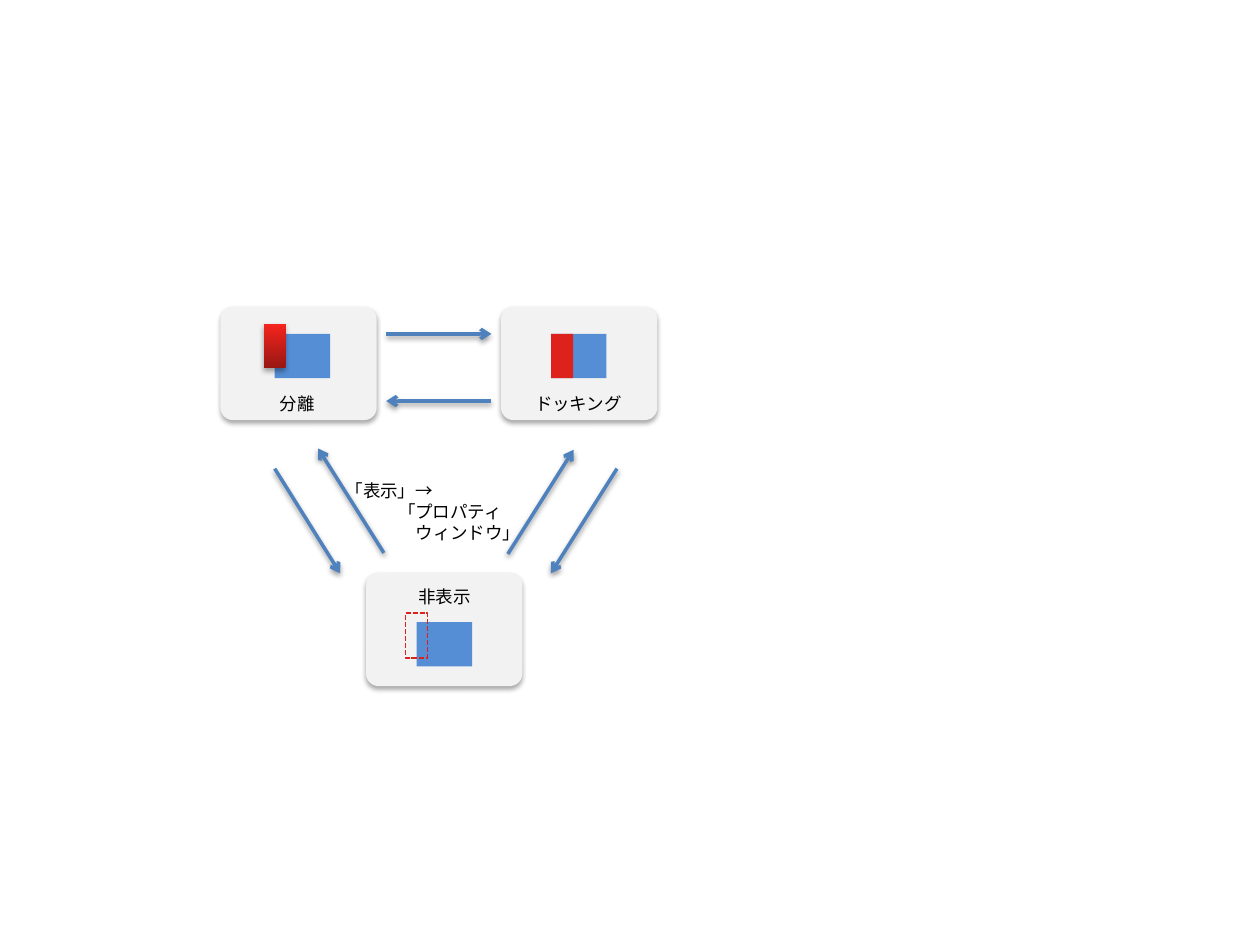
from typing import NamedTuple, Optional

from lxml import etree
from pptx import Presentation
from pptx.dml.color import RGBColor
from pptx.enum import dml, shapes, text
from pptx.oxml import ns
from pptx.util import Pt

COLORS = {
    "card": "F2F2F2",
    "window": "558ED5",
    "panel": "DC221B",
    "panel_dark": "981713",
    "panel_light": "F6241E",
    "arrow": "4F81BD",
    "text": "000000",
    "shadow": "000000",
}
CARD_SIZE = (89.3, 64.8)
CAPTION_SIZE = (66.2, 22.3)
WINDOW_SIZE = (31.7, 25.4)
PANEL_SIZE = (12.6, 25.4)


class State(NamedTuple):
    """A card; caption and window are offsets from it, panel from the window."""
    name: str
    card: tuple[float, float]
    caption: tuple[float, float]
    window: tuple[float, float]
    panel: tuple[float, float]
    panel_style: str


class Arrow(NamedTuple):
    start: tuple[float, float]
    end: tuple[float, float]


class Line(NamedTuple):
    words: str
    indent: float


STATES = [
    State("非表示", (209.2, 327.3), (11.8, 3.9), (28.9, 28.2), (-6.4, -5), "outlined"),
    State("ドッキング", (286.3, 175.3), (11.1, 45.7), (28.6, 15.5), (0, 0), "flat"),
    State("分離", (126, 175.3), (10.8, 45.7), (31, 15.5), (-6.4, -5.8), "raised"),
]
ARROWS = [
    Arrow((157, 267.8), (194.4, 327.6)),
    Arrow((352.6, 267.8), (314.8, 327.6)),
    Arrow((220.7, 190.8), (280.8, 190.8)),
    Arrow((280.8, 229.2), (220.7, 229.2)),
    Arrow((290.2, 316.6), (327.8, 257)),
    Arrow((219.4, 316), (181.8, 256.3)),
]
MENU_PATH = [Line("「表示」→", 0), Line("「プロパティ", 30), Line("ウィンドウ」", 40)]


def color(name: str) -> RGBColor:
    return RGBColor.from_string(COLORS[name])


def shift(origin: tuple, offset: tuple) -> tuple[float, float]:
    return origin[0] + offset[0], origin[1] + offset[1]


def add_effects(shape, opacity: Optional[int] = None, distance: float = 0) -> None:
    """Give the shape a soft downward shadow, or none without an opacity."""
    properties = shape._element.spPr
    for old in properties.findall(ns.qn("a:effectLst")):
        properties.remove(old)
    effects = etree.SubElement(properties, ns.qn("a:effectLst"))
    if opacity is None:
        return
    shadow = etree.SubElement(effects, ns.qn("a:outerShdw"), blurRad=str(Pt(3.1)),
                              dist=str(Pt(distance)), dir="5400000", rotWithShape="0")
    tint = etree.SubElement(shadow, ns.qn("a:srgbClr"), val=COLORS["shadow"])
    etree.SubElement(tint, ns.qn("a:alpha"), val=str(opacity * 1000))


def add_block(page, kind, origin: tuple, size: tuple, fill: Optional[str] = None):
    block = page.shapes.add_shape(kind, *map(Pt, origin + size))
    block.line.fill.background()
    if fill:
        block.fill.solid()
        block.fill.fore_color.rgb = color(fill)
    else:
        block.fill.background()
    add_effects(block)
    return block


def add_panel(page, origin: tuple, style: str) -> None:
    fill = "panel" if style == "flat" else None
    panel = add_block(page, shapes.MSO_SHAPE.RECTANGLE, origin, PANEL_SIZE, fill)
    if style == "raised":
        panel.fill.gradient()
        panel.fill.gradient_angle = 90
        for stop, name, position in zip(panel.fill.gradient_stops,
                                        ("panel_dark", "panel_light"), (0, 1)):
            stop.color.rgb = color(name)
            stop.position = position
        add_effects(panel, 35, 1.8)
    elif style == "outlined":
        panel.line.color.rgb = color("panel")
        panel.line.width = Pt(1)
        panel.line.dash_style = dml.MSO_LINE.SQUARE_DOT


def add_text(page, origin: tuple, size: tuple, lines: list[Line], align, wrap: bool) -> None:
    box = page.shapes.add_textbox(*map(Pt, origin + size))
    frame = box.text_frame
    frame.word_wrap = wrap
    for index, line in enumerate(lines):
        para = frame.add_paragraph() if index else frame.paragraphs[0]
        para.alignment = align
        if line.indent:
            para._p.get_or_add_pPr().set("marL", str(Pt(line.indent)))
        span = para.add_run()
        span.text = line.words
        for name, value in {"size": Pt(10), "name": "Calibri"}.items():
            setattr(span.font, name, value)
        span.font.color.rgb = color("text")


def add_state(page, state: State) -> None:
    card = add_block(page, shapes.MSO_SHAPE.ROUNDED_RECTANGLE, state.card, CARD_SIZE, "card")
    card.adjustments[0] = 0.11
    add_effects(card, 35, 1.8)
    add_text(page, shift(state.card, state.caption), CAPTION_SIZE,
             [Line(state.name, 0)], text.PP_ALIGN.CENTER, wrap=False)
    window = shift(state.card, state.window)
    add_block(page, shapes.MSO_SHAPE.RECTANGLE, window, WINDOW_SIZE, "window")
    add_panel(page, shift(window, state.panel), state.panel_style)


def add_arrow(page, arrow: Arrow) -> None:
    connector = page.shapes.add_connector(shapes.MSO_CONNECTOR.STRAIGHT,
                                          *map(Pt, arrow.start + arrow.end))
    connector.line.color.rgb = color("arrow")
    connector.line.width = Pt(2)
    etree.SubElement(connector.line._get_or_add_ln(), ns.qn("a:tailEnd"), type="arrow")
    add_effects(connector, 38, 1.6)


def main() -> None:
    deck = Presentation()
    deck.slide_width, deck.slide_height = Pt(720), Pt(540)
    page = deck.slides.add_slide(deck.slide_layouts[6])
    for state in STATES:
        add_state(page, state)
    for arrow in ARROWS:
        add_arrow(page, arrow)
    add_text(page, (190.4, 270.7), (120, 45.4), MENU_PATH, text.PP_ALIGN.LEFT, wrap=True)
    deck.save("out.pptx")


if __name__ == "__main__":
    main()
